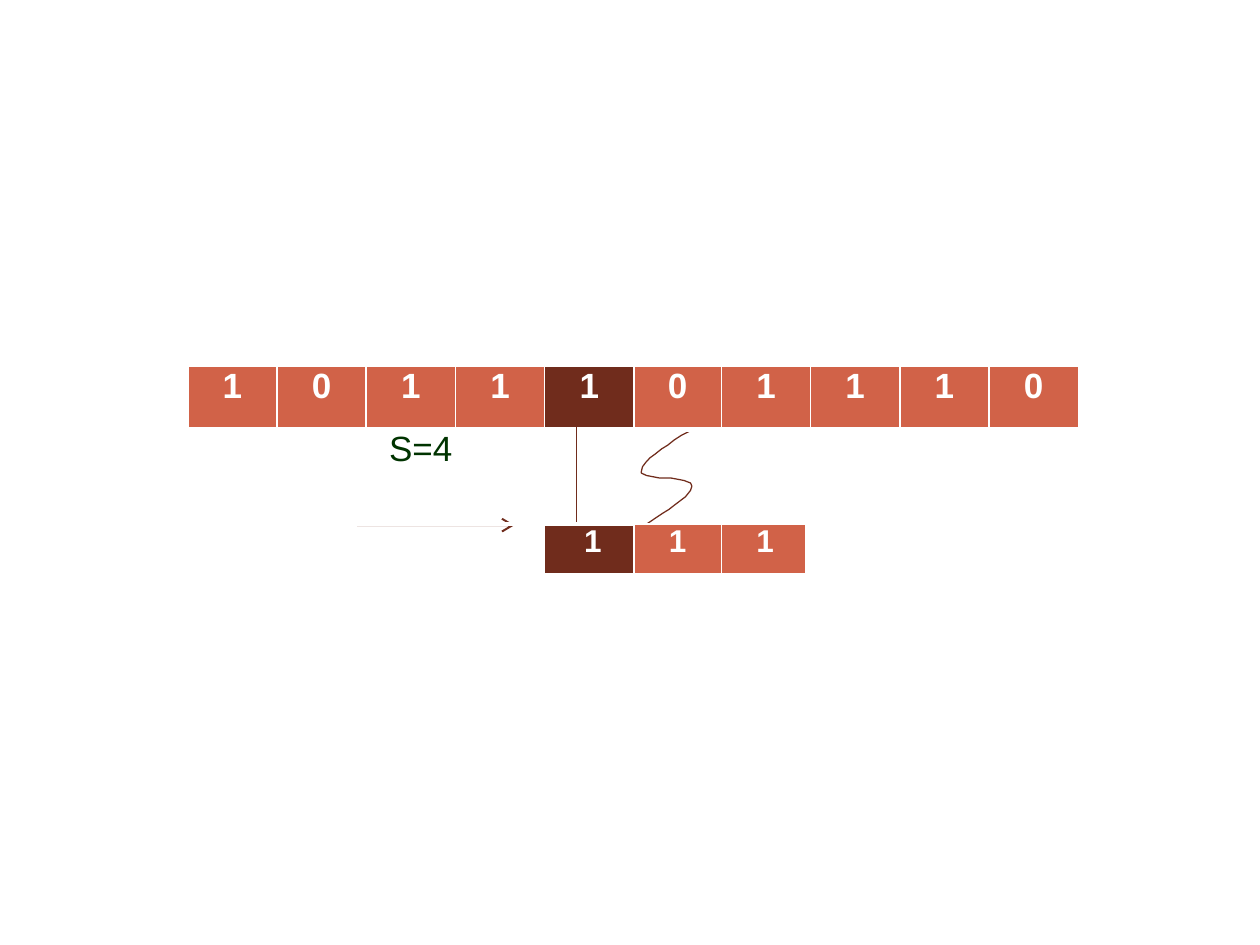
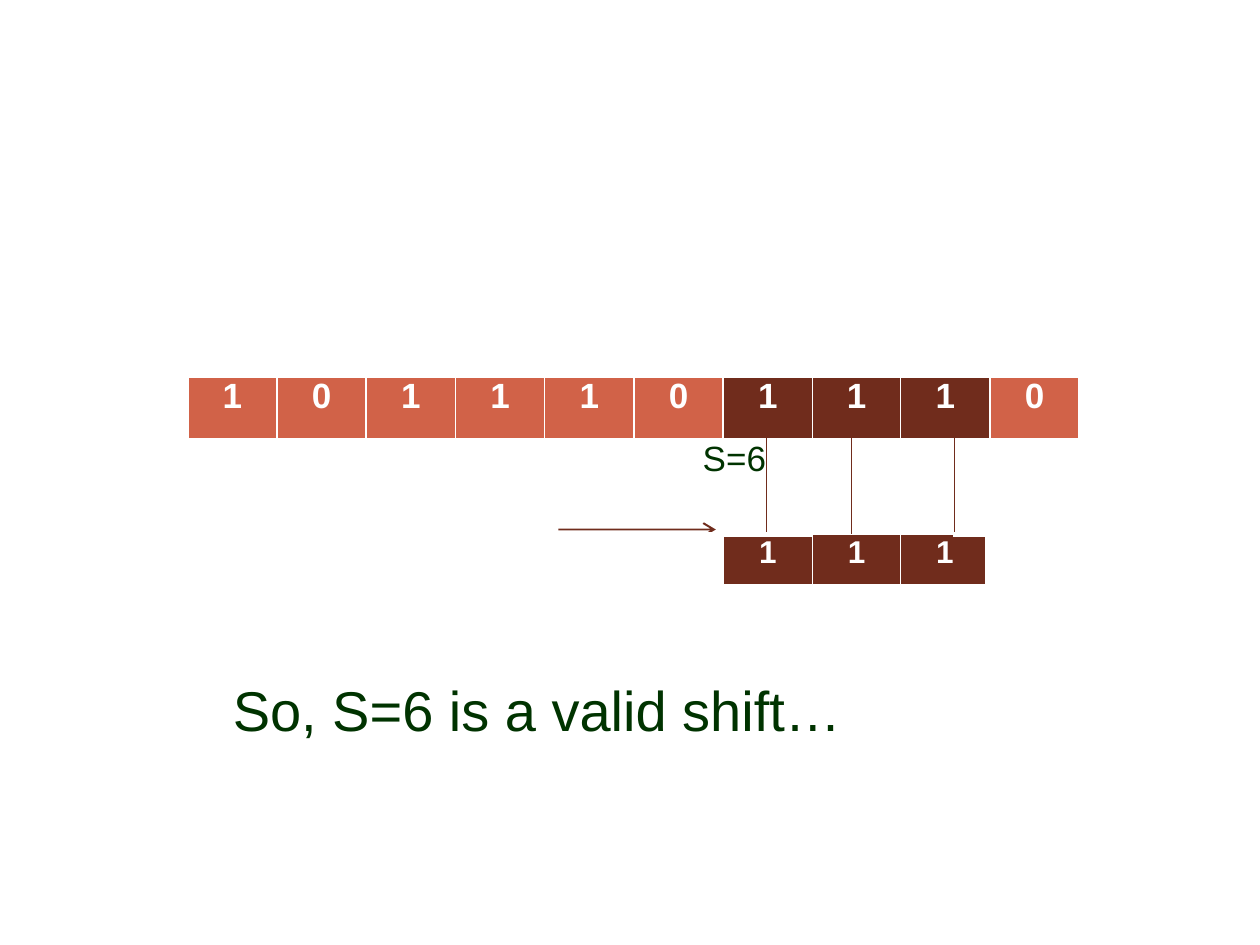
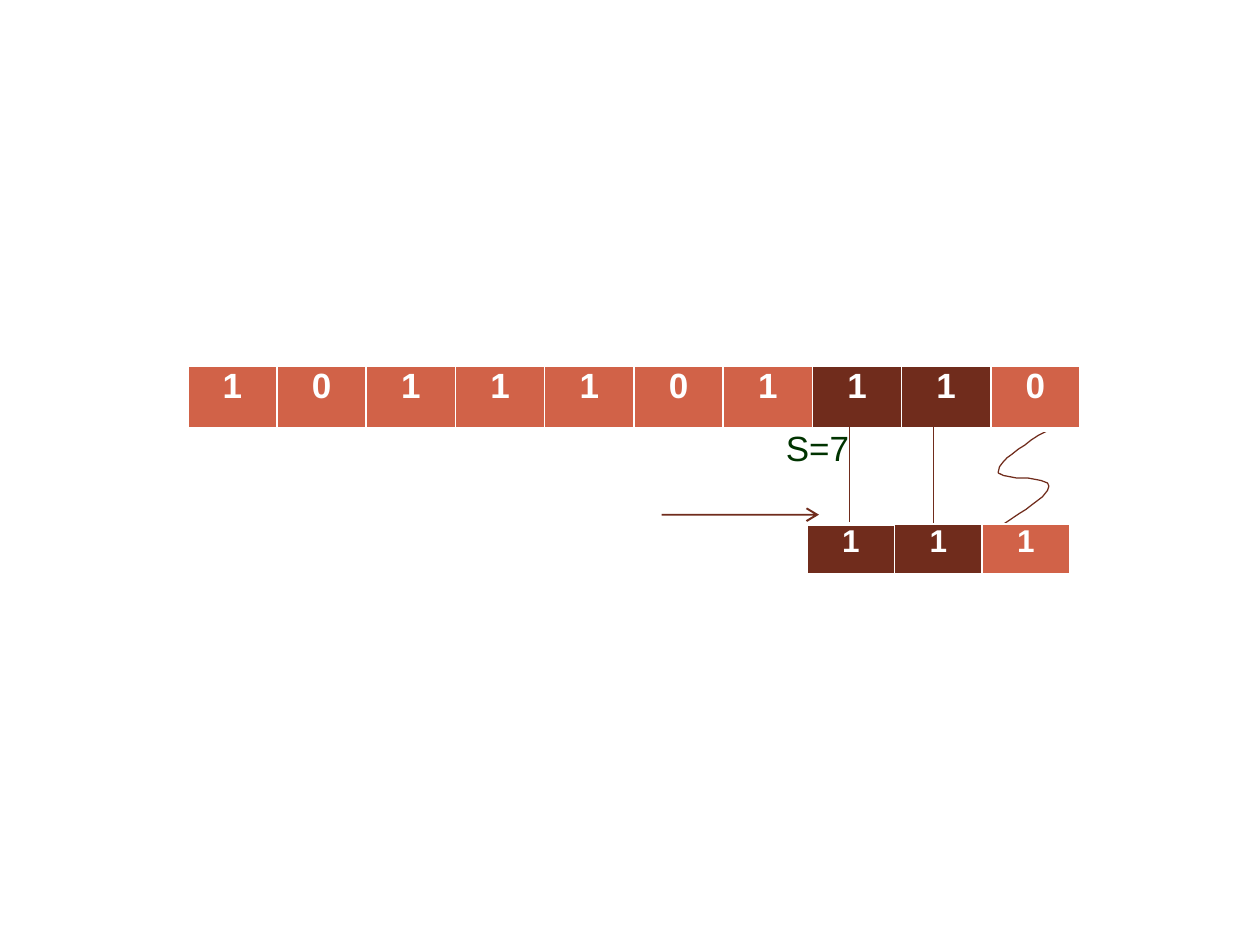
from lxml import etree
from pptx import Presentation
from pptx.dml.color import RGBColor
from pptx.enum import text as t
from pptx.oxml import ns
from pptx.util import Pt

HUE = {"dark": "702C1C", "light": "D16248", "ink": "003300", "white": "FFFFFF"}
BITS = "1011101110"
ROWS = (36, 54, 29.5)
SIZE = {"bits": 20, "find": 18, "note": 32}
ARROW = [(0, 3.6), (87, 3.6), (82.5, 0.9), (83.2, 0), (90, 4.1),
         (83.2, 8.2), (82.5, 7.3), (87, 4.6), (0, 4.6)]
WAVE = [(27.4, 0), (23, 2.2), (18.7, 5), (15.1, 7.9), (11.5, 10.1), (7.9, 13),
        (5, 15.1), (2.9, 17.3), (0.7, 20.2), (0, 23), (0, 23.8), (2.9, 25.2),
        (6.5, 25.9), (10.1, 26.6), (16.6, 26.6), (20.9, 27.4), (24.5, 28.1),
        (28.1, 29.5), (28.8, 31), (28.8, 31.7), (28.1, 33.8), (25.2, 37.4),
        (22.3, 39.6), (19.4, 41.8), (15.8, 44.6), (12.2, 46.8), (7.9, 49.7),
        (3.6, 52.6), (2.2, 54)]

# "runs" holds the column spans of the text row, the gap row and the pattern row.
STEPS = [
    {"shift": 4, "top": 209.5, "arrow": (204, 296), "wave": 366.5,
     "cols": [51] * 4 + [18, 33, 50, 48, 3] + [51] * 3,
     "runs": ([1] * 4 + [2, 1, 2, 1, 1, 1], [5, 7], [4, 2, 1, 1, 4]),
     "hits": {4}, "match": {0}, "pads": (4, 0, 2), "indent": 115},
    {"shift": 6, "top": 215.5, "arrow": (319, 298.5),
     "cols": [51] * 6 + [24.5, 26.5, 22.5, 28, 30.5, 18, 2.5, 51],
     "runs": ([1] * 6 + [2, 2, 3, 1], [7, 2, 2, 3], [6, 2, 2, 2, 2]),
     "hits": {6, 7, 8}, "match": {0, 1, 2}, "pads": (0, 0, 2),
     "note": "So, S=6 is a valid shift…"},
    {"shift": 7, "top": 209.5, "arrow": (378, 290), "wave": 570.5,
     "cols": [51] * 6 + [48, 3, 21, 26, 4, 18, 28, 5, 45, 6],
     "runs": ([1] * 6 + [2, 3, 3, 2], [9, 3, 4], [7, 3, 3, 2, 1]),
     "hits": {7, 8}, "match": {0, 1}, "pads": (0, 0, 0)},
]


def rgb(name):
    return RGBColor.from_string(HUE[name])


def write(frame, words, align=t.PP_ALIGN.LEFT, pad=0, **look):
    para = frame.paragraphs[0]
    para.text, para.alignment = words, align
    if pad:
        para._p.get_or_add_pPr().set("marL", str(Pt(pad)))
    font = para.runs[0].font
    font.color.rgb = rgb(look.pop("hue"))
    for key, value in {"name": "Arial", "bold": False, **look}.items():
        setattr(font, key, value)


def trim(box):
    for side in ("left", "top", "right", "bottom"):
        setattr(box, f"margin_{side}", 0)


def edge(cell, **sides):
    """Draw the four borders; sides maps L, R, T or B to (hue, width)."""
    plain = {"L": ("white", 1), "R": ("white", 1),
             "T": ("white", 1), "B": ("white", 3)}
    props = cell._tc.get_or_add_tcPr()
    for side, (hue, width) in {**plain, **sides}.items():
        line = etree.SubElement(props, ns.qn(f"a:ln{side}"), w=str(Pt(width)))
        fill = etree.SubElement(line, ns.qn("a:solidFill"))
        etree.SubElement(fill, ns.qn("a:srgbClr"), val=HUE[hue])


def spans(table, row, runs):
    """Merge a row by its spans and return the leading cells."""
    cells, col = [], 0
    for run in runs:
        cell = table.cell(row, col)
        if run > 1:
            cell.merge(table.cell(row, col + run - 1))
        trim(cell)
        cells.append(cell)
        col += run
    return cells


def bit(cell, digit, hit, size, pad=0):
    edge(cell)
    cell.fill.solid()
    cell.fill.fore_color.rgb = rgb("dark" if hit else "light")
    write(cell.text_frame, digit, t.PP_ALIGN.CENTER, pad,
          hue="white", bold=True, size=Pt(size))


def gap(cells, step):
    """Fill the row whose inner borders link equal digits."""
    link = ("dark", 0.72)
    for i, cell in enumerate(cells):
        sides = {"T": ("white", 3)}
        if i:
            sides["L"] = link
        if i < len(cells) - 1:
            sides["R"] = link
        if i in (1, 2):
            sides["B"] = ("white", 1)
        edge(cell, **sides)
        cell.fill.background()
    pad = step.get("indent", 0)
    write(cells[0].text_frame, f"S={step['shift']}",
          t.PP_ALIGN.LEFT if pad else t.PP_ALIGN.RIGHT, pad,
          hue="ink", size=Pt(SIZE["bits"]))


def grid(slide, step, left, top):
    cols = step["cols"]
    table = slide.shapes.add_table(len(ROWS), len(cols), Pt(left), Pt(top),
                                   Pt(sum(cols)), Pt(sum(ROWS))).table
    table.first_row = table.horz_banding = False
    for col, width in zip(table.columns, cols):
        col.width = Pt(width)
    for row, height in zip(table.rows, ROWS):
        row.height = Pt(height)
    head, mid, foot = (spans(table, i, runs) for i, runs in enumerate(step["runs"]))
    for i, (cell, digit) in enumerate(zip(head, BITS)):
        bit(cell, digit, i in step["hits"], SIZE["bits"])
    gap(mid, step)
    for i, (cell, pad) in enumerate(zip(foot[1:-1], step["pads"])):
        bit(cell, "1", i in step["match"], SIZE["find"], pad)
    for cell in (foot[0], foot[-1]):
        edge(cell)
        cell.fill.background()


def trace(slide, points, left, top, close):
    spots = [(Pt(left + x), Pt(top + y)) for x, y in points]
    pen = slide.shapes.build_freeform(*spots[0])
    pen.add_line_segments(spots[1:], close=close)
    shape = pen.convert_to_shape()
    shape.shadow.inherit = False
    return shape


def arrow(slide, left, top):
    shape = trace(slide, ARROW, left, top, True)
    shape.fill.solid()
    shape.fill.fore_color.rgb = rgb("dark")
    shape.line.fill.background()


def wave(slide, left, top):
    """Mark a pair of digits that differ."""
    shape = trace(slide, WAVE, left, top, False)
    shape.fill.background()
    shape.line.color.rgb = rgb("dark")
    shape.line.width = Pt(0.72)


def note(slide, words, left, top, width, height):
    frame = slide.shapes.add_textbox(Pt(left), Pt(top), Pt(width), Pt(height)).text_frame
    frame.word_wrap = True
    trim(frame)
    write(frame, words, hue="ink", size=Pt(SIZE["note"]))


def build(deck, step):
    slide = deck.slides.add_slide(deck.slide_layouts[6])
    arrow(slide, *step["arrow"])
    if "wave" in step:
        wave(slide, step["wave"], step["top"] + ROWS[0] + 1)
    if "note" in step:
        note(slide, step["note"], 133, 386, 350, 34)
    grid(slide, step, 107.3, step["top"])


def main():
    deck = Presentation()
    deck.slide_width, deck.slide_height = Pt(720), Pt(540)
    for step in STEPS:
        build(deck, step)
    deck.save("out.pptx")


if __name__ == "__main__":
    main()
